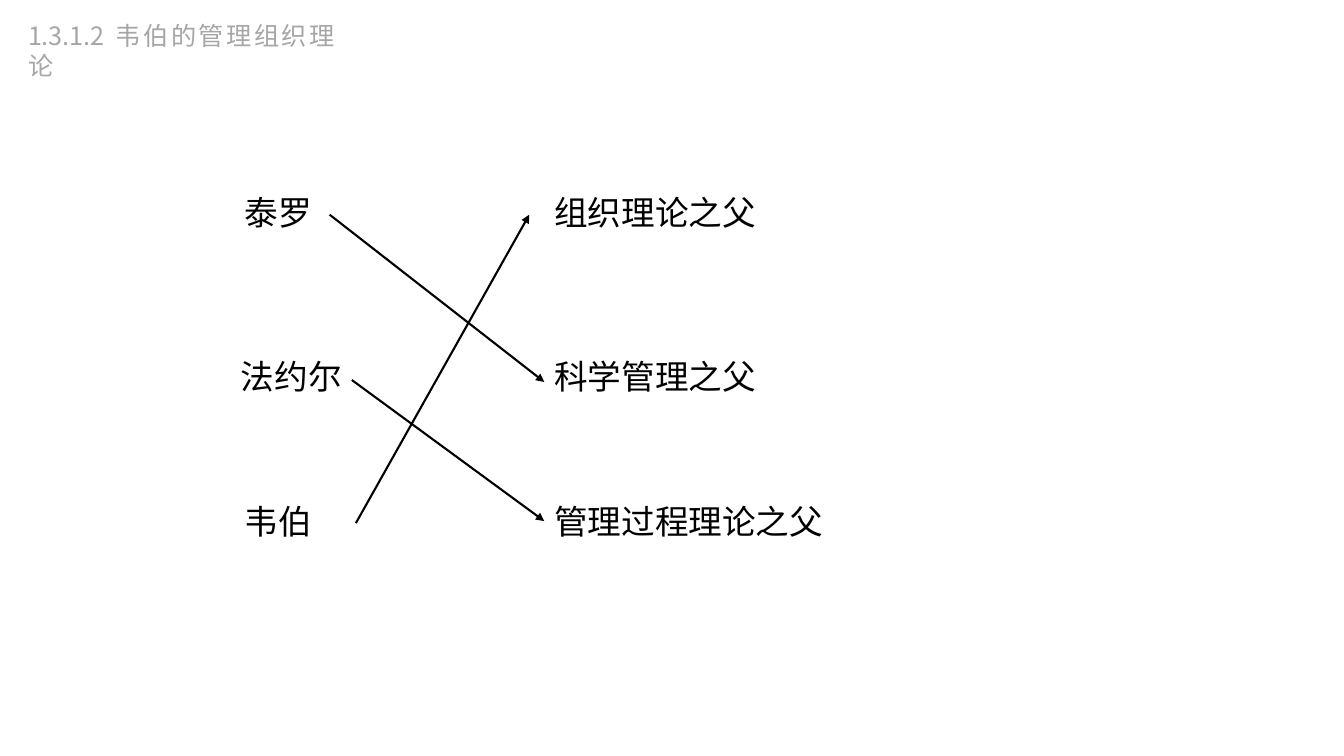
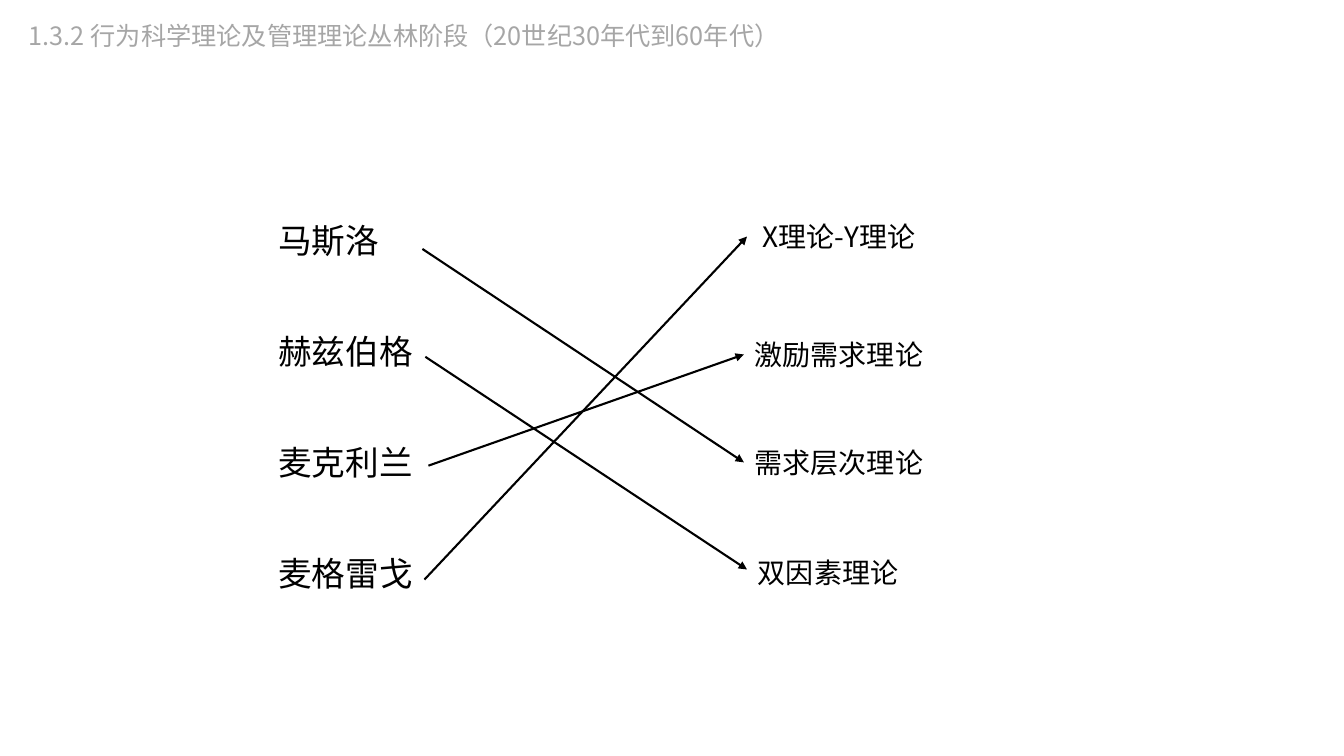
from dataclasses import dataclass
from typing import Optional, Union

from pptx import Presentation
from pptx.dml.color import RGBColor
from pptx.enum.shapes import MSO_CONNECTOR
from pptx.enum.text import MSO_ANCHOR, PP_ALIGN
from pptx.oxml.ns import qn
from pptx.util import Inches, Pt
from lxml.etree import SubElement

WIDE, HIGH = 13.33, 7.5
Point = tuple[float, float]


@dataclass(frozen=True)
class Theme:
    ink: str = "000000"
    muted: str = "A6A6A6"
    body: str = "Noto Sans CJK JP"
    head: str = "Noto Sans CJK SC"
    title: int = 18
    small: int = 20
    large: int = 24
    line: float = 1.5
    pad: float = 0.22


@dataclass(frozen=True)
class Label:
    text: str
    x: float
    y: float
    wide: Optional[float] = None


@dataclass(frozen=True)
class Link:
    start: Point
    end: Union[Point, int]


@dataclass(frozen=True)
class Page:
    title: Label
    names: list[Label]
    ideas: list[Label]
    links: list[Link]
    size: int
    align: PP_ALIGN


THEME = Theme()
FRAME = {"word_wrap": True, "vertical_anchor": MSO_ANCHOR.TOP}

PAGES = [
    Page(
        Label("1.3.1.2 韦伯的管理组织理论", 1.35, 2, 24.3),
        [Label("泰罗", 17.4, 24.67), Label("法约尔", 17.1, 46.4), Label("韦伯", 17.4, 65.6)],
        [
            Label("组织理论之父", 40.5, 24.67),
            Label("科学管理之父", 40.5, 46.4),
            Label("管理过程理论之父", 40.5, 65.6),
        ],
        [
            Link((24.53, 28.4), (40.5, 50.53)),
            Link((26.18, 50.27), 2),
            Link((26.48, 69.2), (39.38, 28.4)),
        ],
        THEME.large,
        PP_ALIGN.LEFT,
    ),
    Page(
        Label("1.3.2 行为科学理论及管理理论丛林阶段（20世纪30年代到60年代）", 1.42, 2, 57.83),
        [
            Label(name, 19.88, 28.4 + 14.71 * row)
            for row, name in enumerate(["马斯洛", "赫兹伯格", "麦克利兰", "麦格雷戈"])
        ],
        [
            Label("X理论-Y理论", 55.58, 28.4, 13.65),
            Label("激励需求理论", 55.35, 44),
            Label("需求层次理论", 55.35, 58.27),
            Label("双因素理论", 55.58, 72.8),
        ],
        [
            Link((31.43, 32.93), 2),
            Link((31.65, 47.2), (55.58, 75.33)),
            Link((31.88, 61.6), 1),
            Link((31.58, 76.67), 0),
        ],
        THEME.small,
        PP_ALIGN.CENTER,
    ),
]


def across(share: float) -> int:
    return Inches(WIDE * share / 100)


def down(share: float) -> int:
    return Inches(HIGH * share / 100)


def write(slide, label: Label, size: int, align: PP_ALIGN, face: str, color: str):
    wide = across(label.wide) if label.wide else Inches(len(label.text) * size / 72 + THEME.pad)
    high = Inches(size * 1.2 / 72 + 0.1)
    box = slide.shapes.add_textbox(across(label.x), down(label.y), wide, high)
    for key, value in FRAME.items():
        setattr(box.text_frame, key, value)
    para = box.text_frame.paragraphs[0]
    para.alignment = align
    run = para.add_run()
    run.text = label.text
    for key, value in {"size": Pt(size), "name": face}.items():
        setattr(run.font, key, value)
    run.font.color.rgb = RGBColor.from_string(color)
    SubElement(run.font._element, qn("a:ea"), typeface=face)
    return box


def join(slide, link: Link, boxes: list) -> None:
    bound = isinstance(link.end, int)
    x, y = link.start if bound else link.end
    line = slide.shapes.add_connector(
        MSO_CONNECTOR.STRAIGHT, across(link.start[0]), down(link.start[1]), across(x), down(y)
    )
    if bound:
        line.end_connect(boxes[link.end], 1)
    line.line.width = Pt(THEME.line)
    line.line.color.rgb = RGBColor.from_string(THEME.ink)
    SubElement(line.line._get_or_add_ln(), qn("a:tailEnd"), type="triangle")
    SubElement(line._element.spPr, qn("a:effectLst"))


def draw(deck, page: Page) -> None:
    slide = deck.slides.add_slide(deck.slide_layouts[6])
    for name in page.names:
        write(slide, name, THEME.large, PP_ALIGN.CENTER, THEME.body, THEME.ink)
    boxes = [
        write(slide, idea, page.size, page.align, THEME.body, THEME.ink) for idea in page.ideas
    ]
    for link in page.links:
        join(slide, link, boxes)
    write(slide, page.title, THEME.title, PP_ALIGN.JUSTIFY, THEME.head, THEME.muted)


def main() -> None:
    deck = Presentation()
    deck.slide_width, deck.slide_height = Inches(WIDE), Inches(HIGH)
    for page in PAGES:
        draw(deck, page)
    deck.save("out.pptx")


if __name__ == "__main__":
    main()
